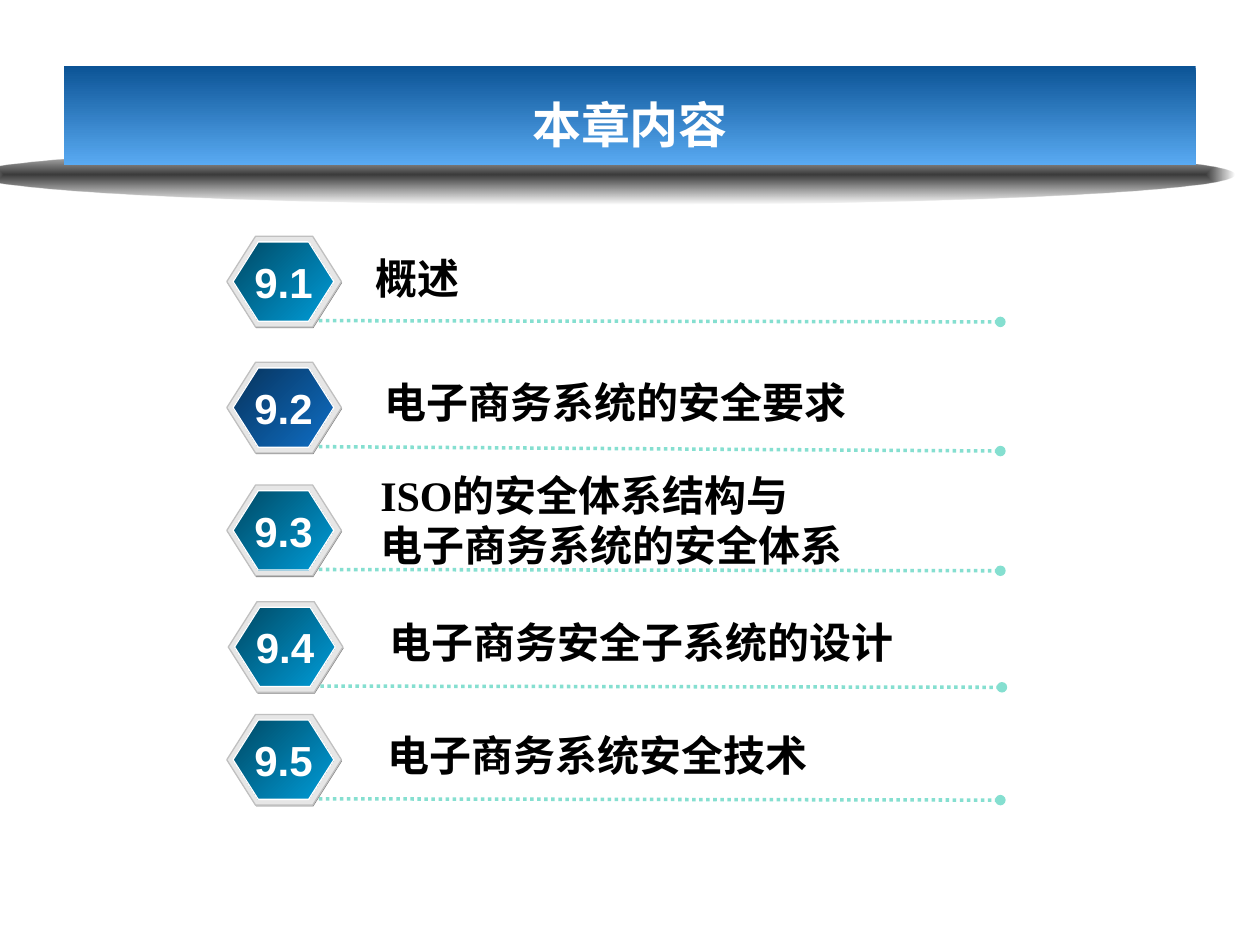
from dataclasses import dataclass

from lxml.etree import SubElement
from pptx import Presentation
from pptx.dml.color import RGBColor
from pptx.enum.dml import MSO_LINE
from pptx.enum.shapes import MSO_CONNECTOR, MSO_SHAPE
from pptx.enum.text import MSO_ANCHOR, MSO_AUTO_SIZE, PP_ALIGN
from pptx.oxml.ns import qn
from pptx.util import Inches, Length, Pt

# The slide is a grid of 100 columns by 75 rows
COLUMNS, ROWS = 100, 75
WIDTH, HEIGHT = Inches(10), Inches(7.5)
TEAL = ("004964", "009DD9")
NAVY = ("07335C", "0F6FC6")


@dataclass(frozen=True)
class Box:
    left: float
    top: float
    width: float
    height: float


@dataclass(frozen=True)
class Section:
    number: str
    title: tuple[str, ...]
    top: float
    label: Box
    badge_left: float = 18
    rule_fall: float = 0.1
    colours: tuple[str, str] = TEAL
    font: str = "Arial"


# Labels are a little wider than their text, so that no line breaks
SECTIONS = (
    Section("9.1", ("概述",), 18.75, Box(28.8, 19.55, 9, 5)),
    Section("9.2", ("电子商务系统的安全要求",), 28.75, Box(29.5, 29.4, 39, 5),
            rule_fall=0.35, colours=NAVY),
    Section("9.3", ("ISO的安全体系结构与", "电子商务系统的安全体系"), 38.5,
            Box(29.2, 36.75, 39, 9), font="Times New Roman"),
    Section("9.4", ("电子商务安全子系统的设计",), 47.75, Box(29.9, 48.4, 42.5, 5),
            badge_left=18.12),
    Section("9.5", ("电子商务系统安全技术",), 56.7, Box(29.75, 57.4, 35.7, 5)),
)


def col(count: float) -> Length:
    return Length(round(WIDTH * count / COLUMNS))


def row(count: float) -> Length:
    return Length(round(HEIGHT * count / ROWS))


def place(box: Box) -> tuple[Length, Length, Length, Length]:
    return col(box.left), row(box.top), col(box.width), row(box.height)


def rgb(value: str) -> RGBColor:
    return RGBColor.from_string(value)


def add_preset(shapes, kind: MSO_SHAPE, box: Box, fill: str | tuple[str, str],
               line: str | None = None, angle: float = 0):
    """Draw a preset shape; a pair of colours gives a gradient."""
    shape = shapes.add_shape(kind, *place(box))
    shape.shadow.inherit = False
    if isinstance(fill, tuple):
        shape.fill.gradient()
        shape.fill.gradient_angle = angle
        for stop, colour in zip(shape.fill.gradient_stops, fill):
            stop.color.rgb = rgb(colour)
    else:
        shape.fill.solid()
        shape.fill.fore_color.rgb = rgb(fill)
    if line:
        shape.line.color.rgb = rgb(line)
        shape.line.width = Pt(0.75)
    else:
        shape.line.fill.background()
    return shape


def write(frame, lines: tuple[str, ...], size: float, font: str, colour: str,
          align: PP_ALIGN) -> None:
    for index, line in enumerate(lines):
        paragraph = frame.add_paragraph() if index else frame.paragraphs[0]
        paragraph.text = line
        paragraph.alignment = align
        paragraph.font.size = Pt(size)
        paragraph.font.name = font
        paragraph.font.bold = True
        paragraph.font.color.rgb = rgb(colour)


def add_label(shapes, box: Box, lines: tuple[str, ...], font: str, colour: str,
              align: PP_ALIGN) -> None:
    frame = shapes.add_textbox(*place(box)).text_frame
    frame.word_wrap = False
    frame.auto_size = MSO_AUTO_SIZE.SHAPE_TO_FIT_TEXT
    write(frame, lines, 24, font, colour, align)


def add_rule(shapes, left: float, top: float, fall: float) -> None:
    """Dotted rule ending in a round dot."""
    rule = shapes.add_connector(MSO_CONNECTOR.STRAIGHT, col(left), row(top),
                                col(left + 54.1), row(top + fall))
    rule.line.color.rgb = rgb("85DFD0")
    rule.line.width = Pt(2)
    rule.line.dash_style = MSO_LINE.ROUND_DOT
    SubElement(rule.line._get_or_add_ln(), qn("a:tailEnd"), type="oval")
    SubElement(rule._element.spPr, qn("a:effectLst"))


def add_banner(shapes) -> None:
    # Soft shade under the banner, fading out from its centre
    shade = add_preset(shapes, MSO_SHAPE.OVAL, Box(-2, 11.5, 100, 4.7),
                       ("000000", "000000"))
    gradient = shade._element.spPr.find(qn("a:gradFill"))
    for colour, alpha in zip(gradient.iter(qn("a:srgbClr")), (77000, 0)):
        SubElement(colour, qn("a:alpha"), val=str(alpha))
    gradient.remove(gradient.find(qn("a:lin")))
    centre = SubElement(gradient, qn("a:path"), path="rect")
    SubElement(centre, qn("a:fillToRect"),
               {side: "50000" for side in "ltrb"})

    # Title bar
    banner = add_preset(shapes, MSO_SHAPE.RECTANGLE, Box(5.1, 5.2, 89.8, 7.9),
                        ("0B5395", "59AAF2"), angle=270)
    frame = banner.text_frame
    frame.word_wrap = True
    frame.vertical_anchor = MSO_ANCHOR.MIDDLE
    frame.margin_left = frame.margin_right = col(3.1)
    frame.margin_top = frame.margin_bottom = row(2)
    write(frame, ("本章内容",), 28, "TeX Gyre Pagella", "FFFFFF", PP_ALIGN.CENTER)
    frame.paragraphs[0].line_spacing = 1.3


def add_section(shapes, section: Section) -> None:
    left, top = section.badge_left, section.top
    # Badge: dark edge, light plate, coloured face
    layers = (
        (Box(left + 0.05, top + 0.1, 9.1, 7.2), "808080", None),
        (Box(left, top, 9.1, 7.2), "E6E6E6", "C0C0C0"),
        (Box(left + 0.5, top + 0.45, 8, 6.3), section.colours, "FFFFFF"),
    )
    for box, fill, line in layers:
        hexagon = add_preset(shapes, MSO_SHAPE.HEXAGON, box, fill, line, angle=315)
        hexagon.adjustments[0] = 0.317
    add_rule(shapes, left + 7.3, top + 6.7, section.rule_fall)
    # Section title and number
    add_label(shapes, section.label, section.title, section.font, "000000",
              PP_ALIGN.LEFT)
    add_label(shapes, Box(left + 1, top + 1.1, 7, 5), (section.number,),
              "Arial", "FFFFFF", PP_ALIGN.CENTER)


def main() -> None:
    deck = Presentation()
    deck.slide_width, deck.slide_height = WIDTH, HEIGHT
    slide = deck.slides.add_slide(deck.slide_layouts[6])
    add_banner(slide.shapes.add_group_shape().shapes)
    for section in SECTIONS:
        add_section(slide.shapes.add_group_shape().shapes, section)
    deck.save("out.pptx")


if __name__ == "__main__":
    main()
